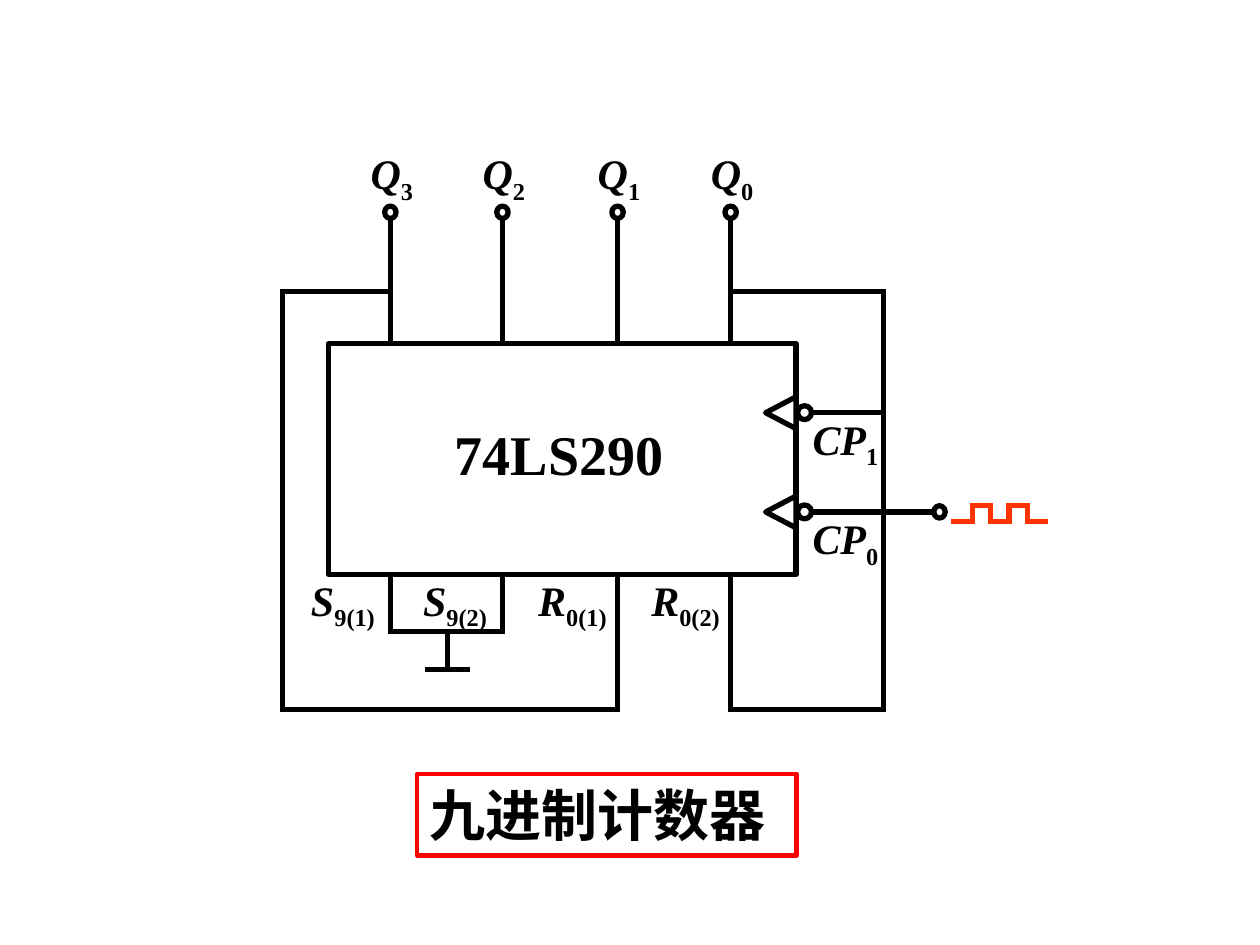
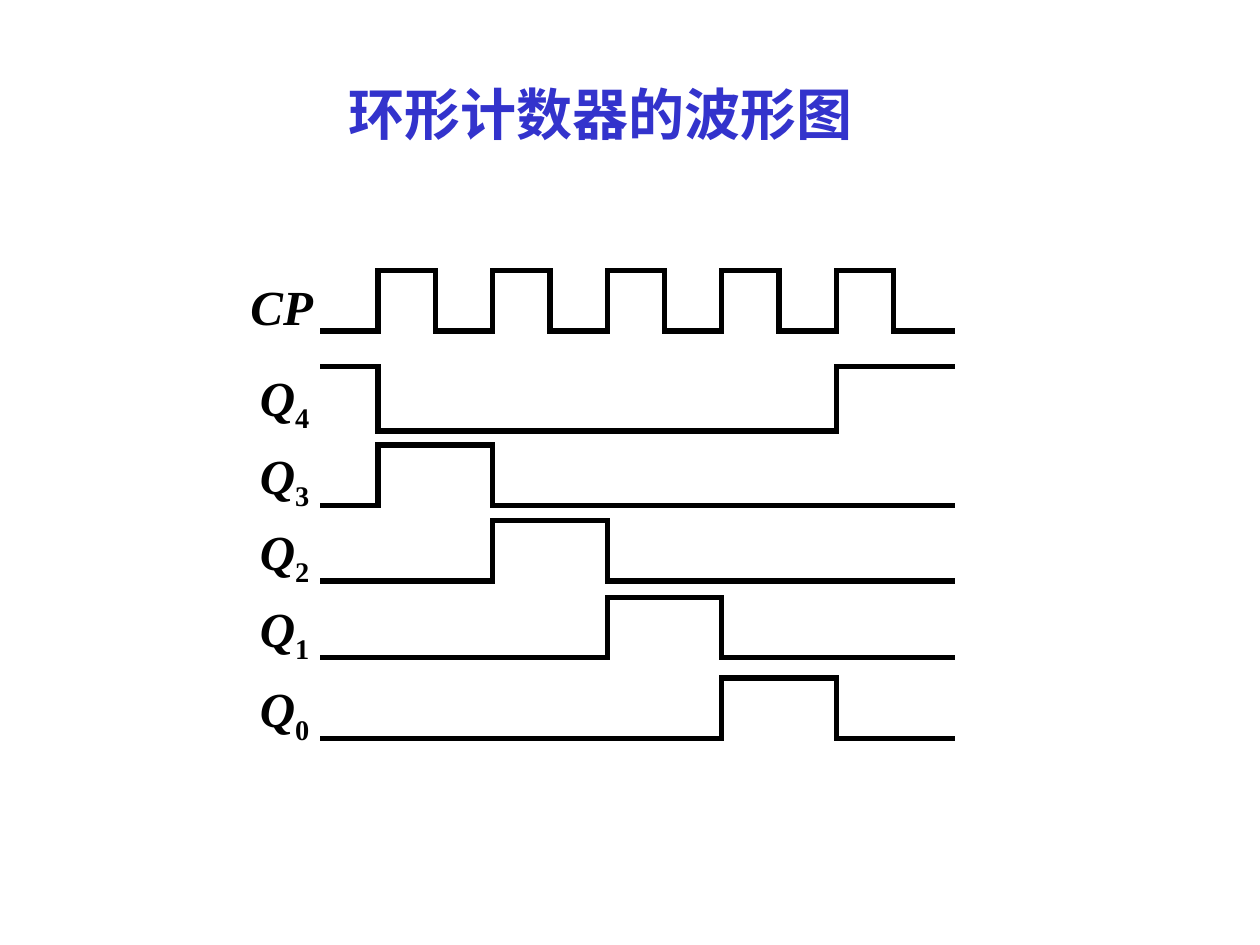
from itertools import pairwise

from lxml import etree
from pptx import Presentation
from pptx.dml.color import RGBColor
from pptx.enum import shapes, text
from pptx.oxml.ns import qn
from pptx.util import Cm, Pt

COLOURS = {"ink": "000000", "paper": "FFFFFF", "title": "3333CC",
           "frame": "FF0000", "pulse": "FF3300"}
RGB = {name: RGBColor.from_string(value) for name, value in COLOURS.items()}
HEADING = {"size": Pt(32), "bold": True, "italic": False}
PIN = {"size": Pt(24), "bold": True, "italic": True}
SIGNAL = {"size": Pt(28), "bold": True, "italic": True}


def wire(slide, corners, colour="ink"):
    """Join successive corners with straight lines."""
    for (x1, y1), (x2, y2) in pairwise(corners):
        segment = slide.shapes.add_connector(
            shapes.MSO_CONNECTOR.STRAIGHT, Cm(x1), Cm(y1), Cm(x2), Cm(y2))
        segment.line.color.rgb = RGB[colour]
        segment.line.width = Pt(3)
        properties = segment._element.spPr
        properties.find(qn("a:ln")).set("cap", "sq")
        etree.SubElement(properties, qn("a:effectLst"))


def label(slide, x, y, width, height, words, style, subscript="", colour="ink"):
    box = slide.shapes.add_textbox(Cm(x), Cm(y), Cm(width), Cm(height))
    box.text_frame.word_wrap = True
    paragraph = box.text_frame.paragraphs[0]
    for part in filter(None, (words, subscript)):
        run = paragraph.add_run()
        run.text = part
        run.font.name = "Times New Roman"
        run.font.color.rgb = RGB[colour]
        for attribute, value in style.items():
            setattr(run.font, attribute, value)
    if subscript:
        run.font.italic = False
        run.font._element.set("baseline", "-25000")
    return box


deck = Presentation()
deck.slide_width, deck.slide_height = Cm(25.4), Cm(19.05)
circuit, timing = (deck.slides.add_slide(deck.slide_layouts[6]) for _ in range(2))

# Circuit: wires run behind the chip
pins = [(7.87, "3", "S", "9(1)", 12.73), (10.13, "2", "S", "9(2)", 12.73),
        (12.45, "1", "R", "0(1)", 14.3), (14.73, "0", "R", "0(2)", 14.3)]
s1, s2, r1, r2 = (pin[0] for pin in pins)
terminal_y, feedback_y, set_y, reset_y = 4.28, 5.87, 12.73, 14.3
left_x, right_x, ground_x, input_x = 5.69, 17.81, 9.02, 18.94
clocks = [(8.32, "1", right_x), (10.32, "0", input_x)]
chip_left, chip_top, chip_width, chip_height = 6.63, 6.93, 9.42, 4.65
chip_right = chip_left + chip_width

for x, _, _, _, bottom in pins:
    wire(circuit, [(x, terminal_y), (x, bottom)])
wire(circuit, [(s1, set_y), (s2, set_y)])
wire(circuit, [(ground_x, set_y), (ground_x, 13.49)])
wire(circuit, [(8.62, 13.49), (9.42, 13.49)])
for out_x, side_x, reset_x in ((s1, left_x, r1), (r2, right_x, r2)):
    wire(circuit, [(out_x, feedback_y), (side_x, feedback_y),
                   (side_x, reset_y), (reset_x, reset_y)])
for y, _, end_x in clocks:
    wire(circuit, [(chip_right, y), (end_x, y)])

# Chip, clock wedges, inversion bubbles and terminals
KIND = shapes.MSO_SHAPE
parts = [(KIND.RECTANGLE, chip_left + chip_width / 2, chip_top + chip_height / 2,
          chip_width, chip_height, 0)]
for y, _, _ in clocks:
    parts += [(KIND.ISOSCELES_TRIANGLE, 15.74, y, 0.64, 0.61, 270),
              (KIND.OVAL, 16.22, y, 0.28, 0.28, 0)]
terminals = [(pin[0], terminal_y) for pin in pins] + [(input_x, 10.32)]
parts += [(KIND.OVAL, x, y, 0.23, 0.25, 0) for x, y in terminals]
for kind, x, y, width, height, turn in parts:
    part = circuit.shapes.add_shape(kind, Cm(x - width / 2), Cm(y - height / 2),
                                    Cm(width), Cm(height))
    part.shadow.inherit = False
    part.rotation = turn
    part.fill.solid()
    part.fill.fore_color.rgb = RGB["paper"]
    part.line.color.rgb = RGB["ink"]
    part.line.width = Pt(3)

for x, output, control, number, _ in pins:
    label(circuit, x - 0.65, 2.85, 1.73, 1.42, "Q", PIN, output)
    label(circuit, x - 1.85, 11.45, 2.26, 1.42, control, PIN, number)
for y, number, _ in clocks:
    label(circuit, 16.13, y - 0.11, 2.26, 1.42, "CP", PIN, number)
label(circuit, 8.92, 8.33, 4.88, 1.63, "74LS290", HEADING)

caption = label(circuit, 8.41, 15.6, 7.65, 1.65, "九进制计数器", HEADING)
caption.line.color.rgb = RGB["frame"]
caption.line.width = Pt(2.5)
caption.text_frame.paragraphs[0].alignment = text.PP_ALIGN.JUSTIFY

# Timing diagram: each output is high for one clock period in turn
label(timing, 6.78, 1.47, 11.23, 1.63, "环形计数器的波形图", HEADING, colour="title")
label(timing, 4.8, 5.44, 2, 1.45, "CP", SIGNAL)
period, begin, end = 2.31, 6.5, 19.2
rises = [7.62 + period * i for i in range(5)]
half_periods = [rises[0] + period / 2 * i for i in range(10)]
output_tops = {"4": 7.39, "3": 8.97, "2": 10.49, "1": 12.04, "0": 13.67}
for number, top in output_tops.items():
    label(timing, 4.99, top - 0.11, 1.6, 1.6, "Q", SIGNAL, number)

# Every wave: slide, edges with both ends, level before and after the first edge
waves = [(circuit, [19.23 + 0.37 * i for i in range(6)], (10.52, 10.19), "pulse"),
         (timing, [begin, *half_periods, end], (6.67, 5.45), "ink"),
         (timing, [begin, rises[0], rises[4], end], (7.39, 8.69), "ink")]
for number, high in zip(range(4), list(output_tops.values())[1:]):
    waves.append((timing, [begin, rises[number], rises[number + 1], end],
                  (high + 1.22, high), "ink"))
for slide, edges, levels, colour in waves:
    wire(slide, [(x, levels[i % 2]) for i, span in enumerate(pairwise(edges))
                 for x in span], colour)

deck.save("out.pptx")
